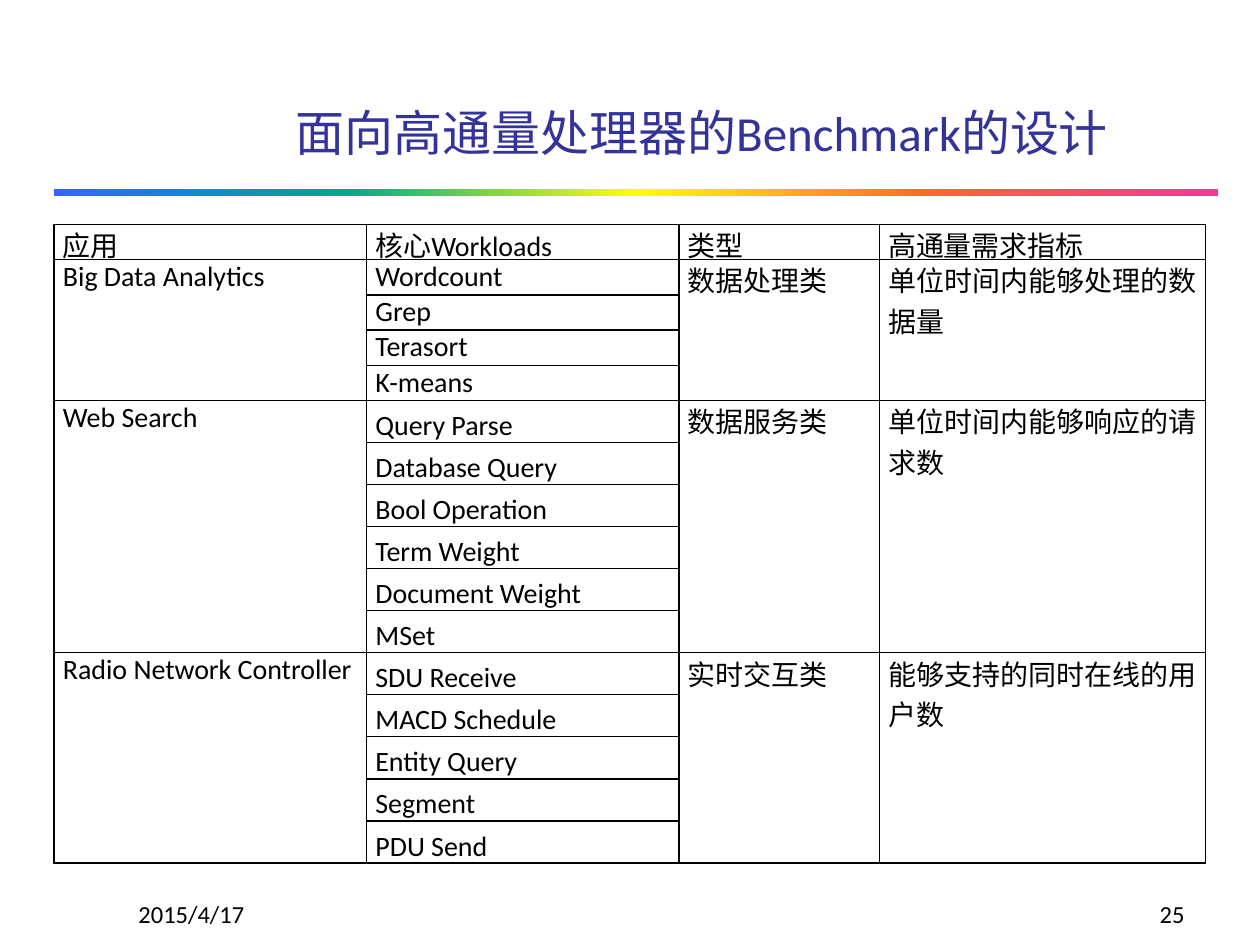
"""Build the slide on benchmark design for high-throughput processors."""
from lxml.etree import SubElement
from pptx import Presentation
from pptx.dml.color import RGBColor
from pptx.enum.shapes import MSO_SHAPE
from pptx.enum.text import MSO_ANCHOR, PP_ALIGN
from pptx.oxml import parse_xml
from pptx.oxml.ns import nsdecls, qn
from pptx.util import Inches, Pt

BLACK = RGBColor(0x00, 0x00, 0x00)
WHITE = RGBColor(0xFF, 0xFF, 0xFF)
NAVY = RGBColor(0x33, 0x33, 0x99)
RAINBOW = [
    RGBColor(0x33, 0x66, 0xFF),
    RGBColor(0x01, 0xA7, 0x8F),
    RGBColor(0xFF, 0xFF, 0x00),
    RGBColor(0xFF, 0x66, 0x33),
    RGBColor(0xFF, 0x33, 0x99),
]

HEADINGS = ["应用", "核心Workloads", "类型", "高通量需求指标"]
APPLICATIONS = [
    ("Big Data Analytics", "数据处理类", "单位时间内能够处理的数据量",
     ["Wordcount", "Grep", "Terasort", "K-means"],
     0.28, 1.0, MSO_ANCHOR.TOP),
    ("Web Search", "数据服务类", "单位时间内能够响应的请求数",
     ["Query Parse", "Database Query", "Bool Operation", "Term Weight",
      "Document Weight", "MSet"],
     0.33, 1.25, MSO_ANCHOR.TOP),
    ("Radio Network Controller", "实时交互类", "能够支持的同时在线的用户数",
     ["SDU Receive", "MACD Schedule", "Entity Query", "Segment", "PDU Send"],
     0.33, 1.25, MSO_ANCHOR.MIDDLE),
]


def add_label(left, top, width, height, text, size, color, align):
    frame = slide.shapes.add_textbox(
        Inches(left), Inches(top), Inches(width), Inches(height)).text_frame
    frame.word_wrap = True
    frame.vertical_anchor = MSO_ANCHOR.BOTTOM
    paragraph = frame.paragraphs[0]
    paragraph.text = text
    paragraph.alignment = align
    paragraph.font.name = "Calibri"
    paragraph.font.size = Pt(size)
    paragraph.font.color.rgb = color


def write_cell(cell, text, spacing=None, anchor=MSO_ANCHOR.TOP):
    cell.vertical_anchor = anchor
    paragraph = cell.text_frame.paragraphs[0]
    paragraph.text = text
    paragraph.alignment = PP_ALIGN.JUSTIFY
    paragraph.line_spacing = spacing
    paragraph.font.name = "Calibri"
    paragraph.font.size = Pt(16)
    paragraph.font.color.rgb = BLACK


prs = Presentation()
prs.slide_width = Inches(10)
prs.slide_height = Inches(7.5)
slide = prs.slides.add_slide(prs.slide_layouts[6])

divider = slide.shapes.add_shape(
    MSO_SHAPE.RECTANGLE, Inches(0.43), Inches(1.5), Inches(9.24), Inches(0.06))
divider.shadow.inherit = False
divider.line.fill.background()
divider.fill.gradient()
divider.fill.gradient_angle = 0
stops = divider.element.spPr.find(".//" + qn("a:gsLst"))
for stop in list(stops):
    stops.remove(stop)
for index, color in enumerate(RAINBOW):
    stop = SubElement(stops, qn("a:gs"), pos=str(index * 25000))
    SubElement(stop, qn("a:srgbClr"), val=str(color))

add_label(2.25, 0.08, 7.53, 1.25, "面向高通量处理器的Benchmark的设计", 28, NAVY, PP_ALIGN.LEFT)
add_label(1, 6.92, 2.08, 0.5, "2015/4/17", 14, BLACK, PP_ALIGN.LEFT)
add_label(7.42, 6.92, 2.08, 0.5, "25", 14, BLACK, PP_ALIGN.RIGHT)

row_count = 1 + sum(len(application[3]) for application in APPLICATIONS)
workloads_table = slide.shapes.add_table(
    row_count, len(HEADINGS), Inches(0.43), Inches(1.78), Inches(9.14), Inches(5.03)).table
workloads_table.first_row = False
workloads_table.horz_banding = False
for column, width in zip(workloads_table.columns, [2.48, 2.48, 1.59, 2.59]):
    column.width = Inches(width)

for cell in workloads_table.iter_cells():
    cell.margin_left = cell.margin_right = Inches(0.07)
    cell.margin_top = cell.margin_bottom = 0
    cell.fill.solid()
    cell.fill.fore_color.rgb = WHITE
    properties = cell._tc.get_or_add_tcPr()
    for position, side in enumerate(["lnL", "lnR", "lnT", "lnB"]):
        properties.insert(position, parse_xml(
            f'<a:{side} {nsdecls("a")} w="{Pt(1)}"><a:solidFill>'
            f'<a:srgbClr val="{BLACK}"/></a:solidFill></a:{side}>'))

workloads_table.rows[0].height = Inches(0.28)
for column, heading in enumerate(HEADINGS):
    write_cell(workloads_table.cell(0, column), heading)

first = 1
for application, category, metric, workloads, height, spacing, anchor in APPLICATIONS:
    last = first + len(workloads) - 1
    for column, text in [(0, application), (2, category), (3, metric)]:
        top_cell = workloads_table.cell(first, column)
        top_cell.merge(workloads_table.cell(last, column))
        write_cell(top_cell, text)
    for row, workload in enumerate(workloads, first):
        workloads_table.rows[row].height = Inches(height)
        write_cell(workloads_table.cell(row, 1), workload, spacing, anchor)
    first = last + 1

prs.save("out.pptx")
